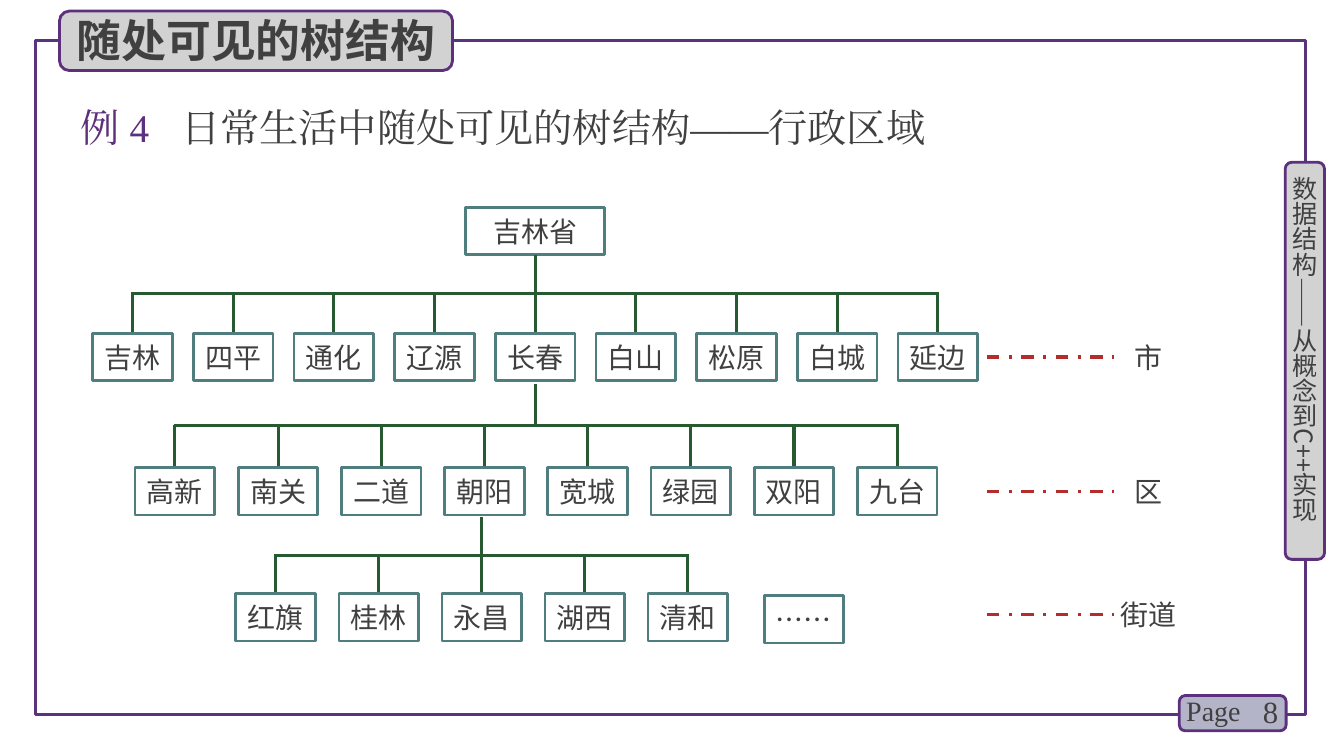
from pptx import Presentation
from pptx.dml.color import RGBColor
from pptx.enum.dml import MSO_LINE
from pptx.enum.shapes import MSO_CONNECTOR, MSO_SHAPE
from pptx.enum.text import MSO_ANCHOR, MSO_AUTO_SIZE, PP_ALIGN
from pptx.oxml.ns import qn
from pptx.util import Pt
from lxml import etree

RECT, ROUND = MSO_SHAPE.RECTANGLE, MSO_SHAPE.ROUNDED_RECTANGLE
LEFT, MID, RIGHT = PP_ALIGN.LEFT, PP_ALIGN.CENTER, PP_ALIGN.RIGHT
DASH = MSO_LINE.DASH_DOT
STRAIGHT = MSO_CONNECTOR.STRAIGHT
MIDDLE, FIXED = MSO_ANCHOR.MIDDLE, MSO_AUTO_SIZE.NONE
SANS, SERIF = "Noto Sans CJK SC", "Times New Roman"
COLORS = {
    "text": "404040", "frame": "5A327D", "purple": "5C307D", "node": "507D7D",
    "tree": "285A32", "level": "B42D2D", "gray": "D2D2D2", "page": "B4B4C8",
}
NODE_W, NODE_H = 56.9, 33.8

# names, left, top, pitch, height of the bus line, stem x, stem top
ROWS = [
    ("吉林 四平 通化 辽源 长春 白山 松原 白城 延边", 66.2, 238.3, 71.9, 209.5, 382.3, 182),
    ("高新 南关 二道 朝阳 宽城 绿园 双阳 九台", 96.5, 334.1, 73.7, 303.8, 382.3, 274.3),
    ("红旗 桂林 永昌 湖西 清和", 168.5, 424.1, 73.6, 396.7, 344.2, 369.4),
]
LEVELS = [("市", 255), ("区", 350.8), ("街道", 439)]


def rgb(name):
    return RGBColor.from_string(COLORS[name])


class Canvas:
    def __init__(self, slide):
        self.slide = slide
        self.shapes = slide.shapes

    def place(self, shape, x, y, w, h):
        shape.left, shape.top, shape.width, shape.height = map(Pt, (x, y, w, h))

    def text(self, shape, runs, size, font=SANS, align=LEFT, inset=(7.2, 3.6), bold=False):
        """Fill a shape with one paragraph of (text, colour) runs."""
        frame = shape.text_frame
        frame.auto_size = FIXED
        frame.word_wrap = True
        frame.vertical_anchor = MIDDLE
        frame.margin_left = frame.margin_right = Pt(inset[0])
        frame.margin_top = frame.margin_bottom = Pt(inset[1])
        para = frame.paragraphs[0]
        para.alignment = align
        para.space_before = Pt(0)
        for words, color in runs:
            run = para.add_run()
            run.text = words
            run.font.size = Pt(size)
            run.font.bold = bold
            run.font.name = font
            run.font.color.rgb = rgb(color)
            east = etree.SubElement(run.font._element, qn("a:ea"))
            east.set("typeface", font)

    def box(self, kind, x, y, w, h, line, width=2, fill=None):
        shape = self.shapes.add_shape(kind, Pt(x), Pt(y), Pt(w), Pt(h))
        shape.shadow.inherit = False
        shape.line.color.rgb = rgb(line)
        shape.line.width = Pt(width)
        if fill:
            shape.fill.solid()
            shape.fill.fore_color.rgb = rgb(fill)
        else:
            shape.fill.background()
        return shape

    def label(self, x, y, w, h, words, size, font=SANS, align=LEFT, inset=(7.2, 3.6)):
        shape = self.shapes.add_textbox(Pt(x), Pt(y), Pt(w), Pt(h))
        self.text(shape, [(words, "text")], size, font, align, inset)
        return shape

    def node(self, x, y, name, w=NODE_W):
        shape = self.box(RECT, x, y, w, NODE_H, "node")
        self.text(shape, [(name, "text")], 20, align=MID, inset=(0, 0))

    def line(self, x1, y1, x2, y2, color="tree", dash=None):
        line = self.shapes.add_connector(STRAIGHT, Pt(x1), Pt(y1), Pt(x2), Pt(y2))
        line.line.color.rgb = rgb(color)
        line.line.width = Pt(2.25)
        if dash:
            line.line.dash_style = dash
        etree.SubElement(line.element.spPr, qn("a:effectLst"))

    def row(self, names, left, top, pitch, bus, stem, start):
        """Draw one level of nodes, hung from a bus line below its parent."""
        names = names.split()
        first = left + NODE_W / 2
        self.line(stem, start, stem, bus)
        self.line(first - 1, bus, first + (len(names) - 1) * pitch + 1, bus)
        for i, name in enumerate(names):
            x = i * pitch
            self.line(first + x, bus, first + x, top - 1)
            self.node(left + x, top, name)

    def title(self, words):
        shape = self.shapes.title
        self.place(shape, 47.5, 5, 289.4, 46.1)
        self.text(shape, [(words, "text")], 32, bold=True)
        self.shapes.element.append(shape.element)  # bring in front of its plate

    def lead(self, runs):
        """Set the example line in the body placeholder, with a tab and no bullet."""
        shape = self.slide.placeholders[1]
        self.place(shape, 50.4, 69.8, 822.2, 41)
        props = shape.text_frame.paragraphs[0]._p.get_or_add_pPr()
        props.set("marL", "0")
        props.set("indent", "0")
        etree.SubElement(props, qn("a:buNone"))
        tabs = etree.SubElement(props, qn("a:tabLst"))
        etree.SubElement(tabs, qn("a:tab"), pos=str(Pt(75)), algn="l")
        self.text(shape, runs, 28, SERIF)


def main():
    deck = Presentation()
    deck.slide_width, deck.slide_height = Pt(960), Pt(540)
    art = Canvas(deck.slides.add_slide(deck.slide_layouts[1]))

    art.box(RECT, 25.2, 28.8, 907.2, 481.7, "frame", 2.25)
    art.box(ROUND, 842.4, 496.8, 76.3, 25.2, "purple", fill="page")
    art.label(869, 493.9, 51.1, 28.8, "8", 22, SERIF, RIGHT)
    art.label(840.2, 491.8, 56.2, 31.7, "Page", 20, SERIF)
    art.box(ROUND, 918, 115.9, 28.1, 283.7, "purple", fill="gray")
    side = art.label(920.9, 126, 21.6, 272.2, "数据结构——从概念到C++实现", 18, inset=(0, 0))
    side.text_frame._txBody.bodyPr.set("vert", "eaVert")

    art.lead([("例 4\t", "purple"), ("日常生活中随处可见的树结构——行政区域", "text")])
    art.node(332.6, 148.3, "吉林省", 99.4)
    for row in ROWS:
        art.row(*row)
    art.node(545.8, 425.5, "……")
    for name, y in LEVELS:
        art.line(704.9, y, 795.6, y, "level", DASH)
        art.label(792, y - NODE_H / 2, NODE_W, NODE_H, name, 20, align=MID, inset=(0, 0))

    art.box(ROUND, 42.5, 7.9, 280.8, 42.5, "purple", fill="gray")
    art.title("随处可见的树结构")
    deck.save("out.pptx")


if __name__ == "__main__":
    main()
